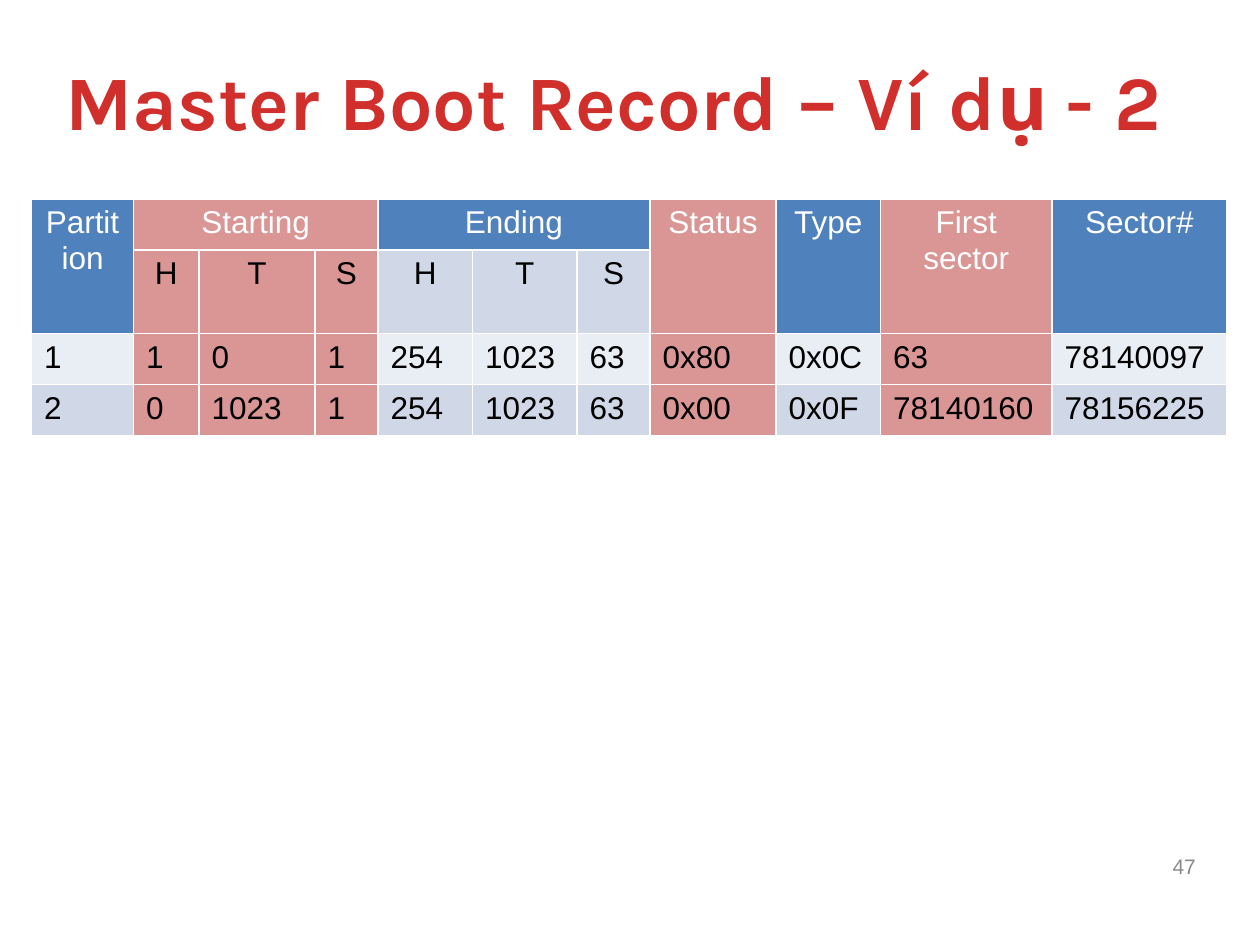
from lxml.etree import SubElement
from pptx import Presentation
from pptx.dml.color import RGBColor
from pptx.enum.text import MSO_ANCHOR as Anchor, MSO_AUTO_SIZE as AutoSize, PP_ALIGN as Align
from pptx.oxml.ns import qn
from pptx.util import Inches, Pt

COLORS = {
    "title": "D02F2C",
    "header": "4F81BD",
    "pink": "D99694",
    "band": "D0D8E8",
    "light": "E9EDF4",
    "white": "FFFFFF",
    "black": "000000",
    "number": "898989",
}
COLUMN_WIDTHS = [0.81, 0.52, 0.92, 0.5, 0.75, 0.83, 0.58, 1, 0.83, 1.36, 1.39]
PINK_COLUMNS = {1, 2, 3, 7, 9}
ROW_FILLS = ["header", "band", "light", "band"]
ROWS = [
    ["Partition", "Starting", "", "", "Ending", "", "", "Status", "Type", "First sector", "Sector#"],
    ["", "H", "T", "S", "H", "T", "S", "", "", "", ""],
    ["1", "1", "0", "1", "254", "1023", "63", "0x80", "0x0C", "63", "78140097"],
    ["2", "0", "1023", "1", "254", "1023", "63", "0x00", "0x0F", "78140160", "78156225"],
]
GROUP_STARTS = [1, 4]
TALL_COLUMNS = [0, 7, 8, 9, 10]


def set_values(target, values):
    """Set attributes of an object from a dict."""
    for name, value in values.items():
        setattr(target, name, value)


def write_text(frame, text, align, color, **font):
    """Write one formatted paragraph into a text frame."""
    para = frame.paragraphs[0]
    para.alignment = align
    span = para.add_run()
    span.text = text
    set_values(span.font, font)
    span.font.color.rgb = RGBColor.from_string(COLORS[color])


def place(shape, left, top, width, height):
    """Position a text shape and centre its text vertically."""
    set_values(shape, {"left": Inches(left), "top": Inches(top),
                       "width": Inches(width), "height": Inches(height)})
    set_values(shape.text_frame, {"word_wrap": True, "auto_size": AutoSize.NONE,
                                  "vertical_anchor": Anchor.MIDDLE})


def add_title(page, text):
    """Fill and format the title placeholder."""
    title = page.shapes.title
    place(title, 0.42, 0.17, 9.42, 1.25)
    write_text(title.text_frame, text, Align.LEFT, "title", name="Karla", size=Pt(44), bold=True)


def add_page_number(page, text):
    """Add the page number at the bottom right."""
    box = page.shapes.add_textbox(0, 0, 0, 0)
    place(box, 8.92, 6.59, 0.67, 0.57)
    write_text(box.text_frame, text, Align.RIGHT, "number", name="Arial", size=Pt(12))


def add_borders(cell):
    """Draw thin white lines on all sides of a cell."""
    properties = cell._tc.get_or_add_tcPr()
    for side in ("a:lnL", "a:lnR", "a:lnT", "a:lnB"):
        line = SubElement(properties, qn(side), w=str(Pt(1)))
        fill = SubElement(line, qn("a:solidFill"))
        SubElement(fill, qn("a:srgbClr"), val=COLORS["white"])


def format_cell(cell, text, row, column):
    """Give a cell its borders, fill and text."""
    add_borders(cell)
    cell.fill.solid()
    fill = "pink" if column in PINK_COLUMNS else ROW_FILLS[row]
    cell.fill.fore_color.rgb = RGBColor.from_string(COLORS[fill])
    if not cell.is_spanned:
        write_text(cell.text_frame, text, Align.CENTER if row < 2 else Align.LEFT,
                   "white" if row == 0 else "black", name="Arial", size=Pt(18), bold=False)


def add_partition_table(page):
    """Add the partition table with its two header rows."""
    table = page.shapes.add_table(len(ROWS), len(COLUMN_WIDTHS), Inches(0.25), Inches(1.58),
                                  Inches(9.5), Inches(1.62)).table
    for column, width in zip(table.columns, COLUMN_WIDTHS):
        column.width = Inches(width)
    for start in GROUP_STARTS:
        table.cell(0, start).merge(table.cell(0, start + 2))
    for column in TALL_COLUMNS:
        table.cell(0, column).merge(table.cell(1, column))
    for row, texts in enumerate(ROWS):
        for column, text in enumerate(texts):
            format_cell(table.cell(row, column), text, row, column)


def main():
    """Build and save the slide."""
    deck = Presentation()
    set_values(deck, {"slide_width": Inches(10), "slide_height": Inches(7.5)})
    page = deck.slides.add_slide(deck.slide_layouts[5])
    add_title(page, "Master Boot Record – Ví dụ - 2")
    add_partition_table(page)
    add_page_number(page, "47")
    deck.save("out.pptx")


if __name__ == "__main__":
    main()
